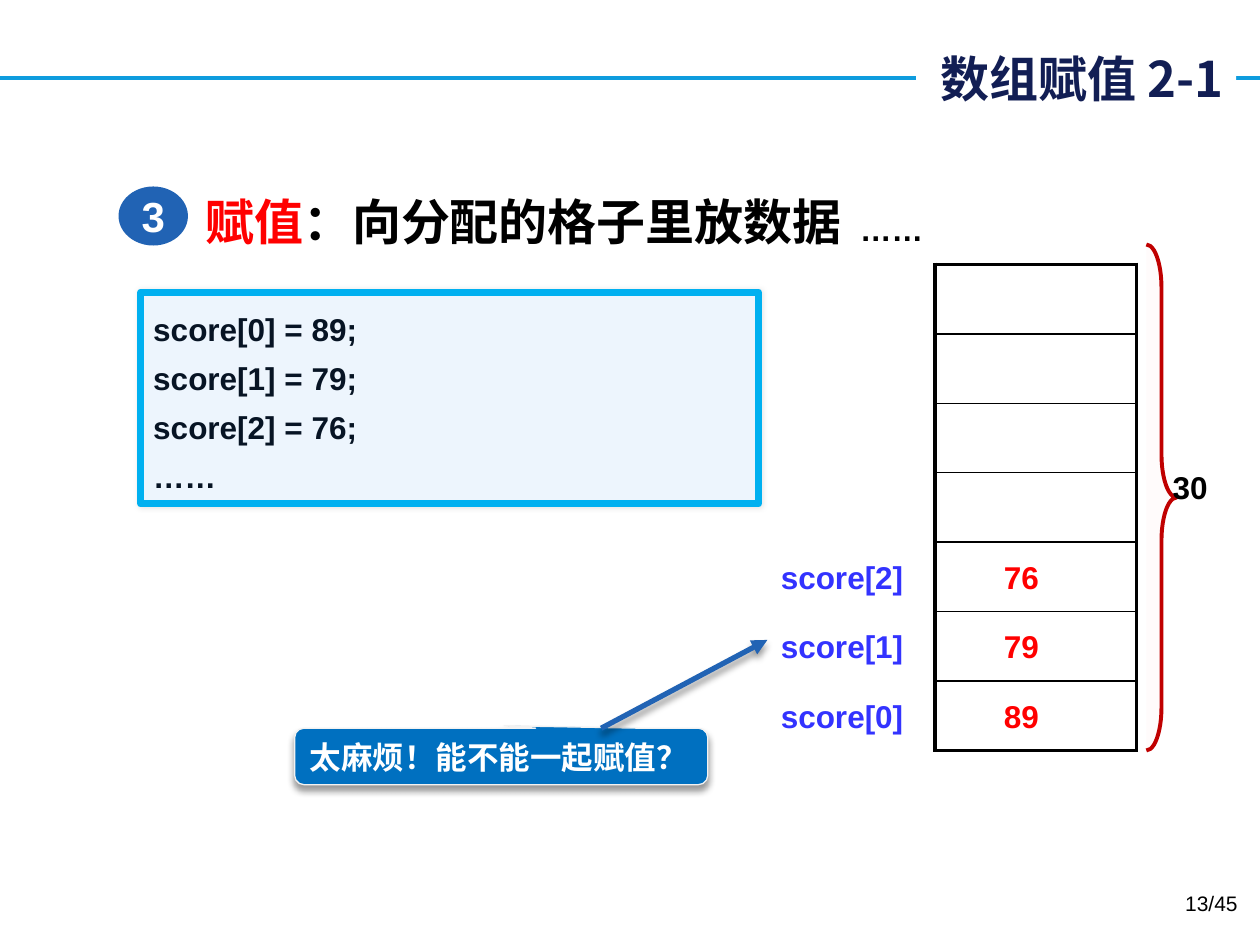
"""Build the slide on filling an array with values."""
import dataclasses

import lxml.etree
import pptx
import pptx.dml.color
import pptx.enum.shapes
import pptx.enum.text
import pptx.oxml.ns
import pptx.util

Cm = pptx.util.Cm
Pt = pptx.util.Pt
qn = pptx.oxml.ns.qn
Kind = pptx.enum.shapes.MSO_SHAPE
Align = pptx.enum.text.PP_ALIGN
Anchor = pptx.enum.text.MSO_ANCHOR


@dataclasses.dataclass(frozen=True)
class Theme:
    """Fonts, colours and type sizes of the slide."""
    latin: str = "Arial"
    narrow: str = "Arial Narrow"
    han: str = "Noto Sans CJK SC"
    head: int = 28
    badge: int = 24
    body: int = 18
    foot: int = 12
    black: str = "000000"
    white: str = "FFFFFF"
    navy: str = "121E54"
    rule: str = "0E9CDE"
    blue: str = "2163B4"
    red: str = "FF0000"
    name: str = "3333FF"
    code: str = "071424"
    pale: str = "EDF5FD"
    edge: str = "00B0F0"
    call: str = "0070C0"
    rim: str = "F2F2F2"
    brace: str = "C00000"
    blush: str = "FFDDDD"


T = Theme()
DROP = (40, 4, 3, 90)


def rgb(code):
    """Turn a hex code into a colour."""
    return pptx.dml.color.RGBColor.from_string(code)


def sub(node, tag, **keys):
    """Append a child element with the given attributes."""
    return lxml.etree.SubElement(node, qn(tag), {k: str(v) for k, v in keys.items()})


def place(item, box):
    """Move an item to a box given in centimetres."""
    item.left, item.top, item.width, item.height = map(Cm, box)


def style(para, size, color, bold=True, font=T.latin, align=Align.LEFT):
    """Set the alignment and font of a paragraph."""
    para.alignment = align
    para.font.size, para.font.bold, para.font.name = Pt(size), bold, font
    para.font.color.rgb = rgb(color)
    sub(para._p.pPr.find(qn("a:defRPr")), "a:ea", typeface=T.han)


def write(frame, lines, size, color, space=None, **look):
    """Fill a text frame with equally styled lines."""
    for i, line in enumerate(lines):
        para = frame.add_paragraph() if i else frame.paragraphs[0]
        para.text = line
        if space:
            para.line_spacing = space
        style(para, size, color, **look)


def label(slide, box, text, size=T.body, color=T.black, **look):
    """Add a wrapped text box with one line."""
    frame = slide.shapes.add_textbox(*map(Cm, box)).text_frame
    frame.word_wrap = True
    write(frame, [text], size, color, **look)
    return frame


def shade(item, alpha, blur, dist, angle):
    """Give an item a soft black shadow."""
    props = item.element.spPr
    found = props.find(qn("a:effectLst"))
    effects = sub(props, "a:effectLst") if found is None else found
    outer = sub(effects, "a:outerShdw", blurRad=Pt(blur), dist=Pt(dist),
                dir=angle * 60000, algn="ctr", rotWithShape=0)
    sub(sub(outer, "a:srgbClr", val=T.black), "a:alpha", val=alpha * 1000)


def form(slide, kind, box, fill, line=None, width=1, adjust=()):
    """Add a flat preset shape."""
    item = slide.shapes.add_shape(kind, *map(Cm, box))
    item.shadow.inherit = False
    for i, value in enumerate(adjust):
        item.adjustments[i] = value
    item.fill.solid()
    item.fill.fore_color.rgb = rgb(fill)
    if line:
        item.line.color.rgb = rgb(line)
        item.line.width = Pt(width)
    else:
        item.line.fill.background()
    return item


def link(slide, start, end, color, width):
    """Draw a straight line between two points."""
    item = slide.shapes.add_connector(
        pptx.enum.shapes.MSO_CONNECTOR.STRAIGHT, *map(Cm, start + end))
    item.line.color.rgb = rgb(color)
    item.line.width = Pt(width)
    sub(item.element.spPr, "a:effectLst")
    return item


def banner(slide, box):
    """Put the title over a rule that spans the slide."""
    x, y, w, h = box
    link(slide, (x, y + h / 2), (x + w, y + h / 2), T.rule, 2.25)
    title = slide.shapes.title
    place(title, (x + 18.47, y, 6.45, h))
    title.fill.solid()
    title.fill.fore_color.rgb = rgb(T.white)
    title.text_frame.vertical_anchor = Anchor.MIDDLE
    write(title.text_frame, ["数组赋值 2-1"], T.head, T.navy, font=T.han, align=Align.RIGHT)
    title.element.getparent().append(title.element)


def heading(slide, box):
    """Place the numbered step heading."""
    x, y, w, h = box
    frame = label(slide, (x + 1.5, y, w - 1.5, h), "", T.head, T.black, font=T.narrow)
    para = frame.paragraphs[0]
    para.line_spacing = 1.35
    key = para.add_run()
    key.text = "赋值"
    key.font.color.rgb = rgb(T.red)
    para.add_run().text = "：向分配的格子里放数据"
    label(slide, (x + 14.7, y + 0.78, 4.6, 1.02), "……")
    badge = form(slide, Kind.OVAL, (x, y + 0.43, 1.4, 1.19), T.blue)
    badge.text_frame.word_wrap = False
    write(badge.text_frame, ["3"], T.badge, T.white, align=Align.CENTER)


def listing(slide, box):
    """Show the code lines in a framed panel."""
    panel = form(slide, Kind.ROUNDED_RECTANGLE, box, T.pale, T.edge, 4, [0])
    shade(panel, 10, 3, 0, 0)
    panel.text_frame.vertical_anchor = Anchor.TOP
    lines = ["score[0] = 89;", "score[1] = 79;", "score[2] = 76;", "……"]
    write(panel.text_frame, lines, T.body, T.code, space=1.3)


def memory(slide, box, count=7):
    """Draw the array cells with names, values and a brace."""
    x, y, w, h = box
    step = h / count
    holder = slide.shapes.add_table(count, 1, *map(Cm, box))
    grid = holder.table
    grid.first_row = grid.horz_banding = False
    for i, row in enumerate(grid.rows):
        row.height = Cm(step)
        cell = row.cells[0]
        props = cell._tc.get_or_add_tcPr()
        sides = {"L": 2.25, "R": 2.25, "T": 1 if i else 2.25,
                 "B": 1 if i < count - 1 else 2.25}
        for side, width in sides.items():
            edge = sub(props, f"a:ln{side}", w=Pt(width))
            sub(sub(edge, "a:solidFill"), "a:srgbClr", val=T.black)
        cell.fill.background()
    brace = form(slide, Kind.RIGHT_BRACE, (x + w + 0.2, y - 0.4, 0.61, h + 0.4),
                 T.blush, T.brace, 2.25, [1.417, 0.5])
    tint = brace.element.spPr.find(qn("a:solidFill"))[0]
    sub(tint, "a:alpha", val=10000)
    label(slide, (x + w + 0.48, y + 3.99, 2.11, 1.02), "30")
    for i, value in enumerate(["89", "79", "76"]):
        top = y + h - 1.21 - i * step
        label(slide, (x - 3.36, top, 3, 1.02), f"score[{i}]", color=T.name)
        frame = label(slide, (x + 0.25, top, 3, 1.02), value, color=T.red)
        frame.margin_left = Cm(1.14)


def question(slide, box):
    """Place the callout and its arrow."""
    x, y, w, h = box
    bubble = form(slide, Kind.ROUNDED_RECTANGULAR_CALLOUT, box, T.call, T.rim, 0.75,
                  [0.007, -0.544, 0.167])
    shade(bubble, *DROP)
    bubble.text_frame.word_wrap = False
    write(bubble.text_frame, ["太麻烦！能不能一起赋值？"], T.body, T.white)
    arrow = link(slide, (x + 6.18, y), (x + 9.53, y - 1.78), T.blue, 3)
    sub(arrow.line._ln, "a:tailEnd", type="triangle")
    shade(arrow, *DROP)


def main():
    """Build and save the slide."""
    deck = pptx.Presentation()
    deck.slide_width, deck.slide_height = Cm(25.4), Cm(19.05)
    slide = deck.slides.add_slide(deck.slide_layouts[5])
    banner(slide, (0, 0.79, 25.4, 1.57))
    listing(slide, (2.84, 5.89, 12.45, 4.27))
    heading(slide, (2.39, 3.33, 20.7, 1.57))
    memory(slide, (18.85, 5.33, 4.06, 9.8))
    question(slide, (5.94, 14.68, 8.33, 1.14))
    label(slide, (19.28, 17.83, 5.92, 1.02), "13/45", T.foot, bold=False, align=Align.RIGHT)
    deck.save("out.pptx")


if __name__ == "__main__":
    main()
